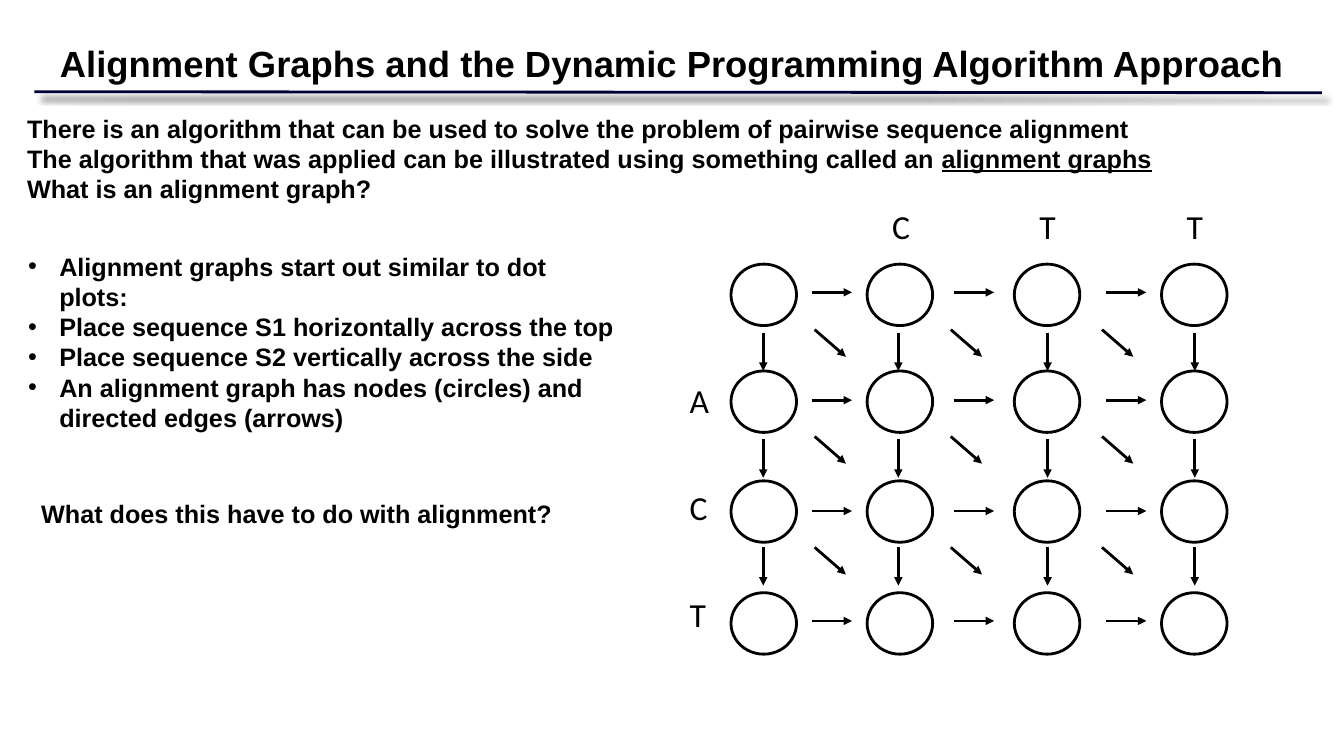
import pptx
import pptx.util
import pptx.dml.color
import pptx.enum.shapes
import pptx.enum.text
import pptx.oxml
import pptx.oxml.ns
from lxml import etree

Inches, Pt = pptx.util.Inches, pptx.util.Pt
RGB = pptx.dml.color.RGBColor.from_string
qn = pptx.oxml.ns.qn
THEME = {
    "ink": RGB("000000"), "rule": RGB("000033"),
    "font": "Arial", "label_font": "Calibri",
    "title": Pt(26), "body": Pt(18), "label": Pt(24), "line": Pt(2),
}


def add_line(shapes, x, y, dx, dy, color=THEME["ink"], arrow=True):
    c = shapes.add_connector(pptx.enum.shapes.MSO_CONNECTOR.STRAIGHT,
                             Inches(x), Inches(y), Inches(x + dx), Inches(y + dy))
    c.line.color.rgb = color
    c.line.width = THEME["line"]
    if arrow:
        etree.SubElement(c.line._get_or_add_ln(), qn("a:tailEnd"), type="triangle")
    return etree.SubElement(c._element.spPr, qn("a:effectLst"))


def write(sp, paragraphs, size, font=THEME["font"], bold=True, wrap=False):
    tf = sp.text_frame
    tf.word_wrap = wrap
    tf.auto_size = pptx.enum.text.MSO_AUTO_SIZE.SHAPE_TO_FIT_TEXT
    for i, runs in enumerate(paragraphs):
        p = tf.add_paragraph() if i else tf.paragraphs[0]
        for text, underline in runs:
            r = p.add_run()
            r.text = text
            r.font.name, r.font.size, r.font.bold = font, size, bold
            r.font.underline = underline
            r.font.color.rgb = THEME["ink"]
    return tf


prs = pptx.Presentation()
prs.slide_width, prs.slide_height = Inches(13.33), Inches(7.5)
s = prs.slides.add_slide(prs.slide_layouts[5])

effects = add_line(s.shapes, 0.34, 0.91, 12.77, 0.01, THEME["rule"], arrow=False)
shadow = etree.SubElement(effects, qn("a:outerShdw"), blurRad=str(Pt(4)), dist=str(Pt(6)),
                          dir="2700000", algn="ctr", rotWithShape="0")
shade = etree.SubElement(shadow, qn("a:srgbClr"), val="000000")
etree.SubElement(shade, qn("a:alpha"), val="50000")

title = s.shapes.title
title.left, title.top, title.width, title.height = map(Inches, (0.44, 0.35, 12.46, 0.54))
tf = write(title, [[("Alignment Graphs and the Dynamic Programming Algorithm Approach", False)]],
           THEME["title"])
tf.paragraphs[0].alignment = pptx.enum.text.PP_ALIGN.CENTER

intro = s.shapes.add_textbox(*map(Inches, (0.17, 1.07, 11.46, 1.01)))
write(intro, [
    [("There is an algorithm that can be used to solve the problem of pairwise sequence alignment", False)],
    [("The algorithm that was applied can be illustrated using something called an ", False),
     ("alignment graphs", True)],
    [("What is an alignment graph?", False)],
], THEME["body"])

graph = s.shapes.add_group_shape().shapes
node_cols, node_rows = (7.25, 8.6, 10.06, 11.52), (2.62, 3.68, 4.77, 5.88)
across_cols, across_rows = (8.05, 9.46, 10.97), (2.9, 3.97, 5.07, 6.16)
down_cols, down_rows = (7.57, 8.91, 10.39, 11.85), (3.3, 4.36, 5.43)
diagonal_cols, diagonal_rows = (8.08, 9.43, 10.93), (3.27, 4.33, 5.43)

for y in node_rows:
    for x in node_cols:
        node = graph.add_shape(pptx.enum.shapes.MSO_SHAPE.OVAL,
                               Inches(x), Inches(y), Inches(0.65), Inches(0.61))
        node.shadow.inherit = False
        node.fill.background()
        node.line.color.rgb = THEME["ink"]
        node.line.width = THEME["line"]

for cols, rows, dx, dy in (
    (across_cols, across_rows, 0.4, 0),
    (down_cols, down_rows, 0, 0.38),
    (diagonal_cols, diagonal_rows, 0.31, 0.27),
):
    for y in rows:
        for x in cols:
            add_line(graph, x, y, dx, dy)

top_labels = [(letter, x + 0.15, 1.99) for letter, x in zip("CTT", node_cols[1:])]
side_labels = [(letter, 6.74, 3.72 + 1.06 * i) for i, letter in enumerate("ACT")]
for letter, x, y in top_labels + side_labels:
    label = graph.add_textbox(Inches(x), Inches(y), Inches(0.38), Inches(0.47))
    write(label, [[(letter, False)]], THEME["label"], THEME["label_font"], bold=False)

steps = s.shapes.add_textbox(*map(Inches, (0.18, 2.44, 6.07, 1.92)))
tf = write(steps, [[(text, False)] for text in (
    "Alignment graphs start out similar to dot plots:",
    "Place sequence S1 horizontally across the top",
    "Place sequence S2 vertically across the side",
    "An alignment graph has nodes (circles) and directed edges (arrows)",
)], THEME["body"], wrap=True)
for p in tf.paragraphs:
    pPr = p._p.get_or_add_pPr()
    pPr.set("marL", str(Inches(0.31)))
    pPr.set("indent", str(-Inches(0.31)))
    etree.SubElement(pPr, qn("a:buFont"), typeface=THEME["font"])
    etree.SubElement(pPr, qn("a:buChar"), char="•")

question = s.shapes.add_textbox(*map(Inches, (0.31, 4.89, 5.32, 0.4)))
write(question, [[("What does this have to do with alignment?", False)]], THEME["body"], wrap=True)

prs.save("out.pptx")
